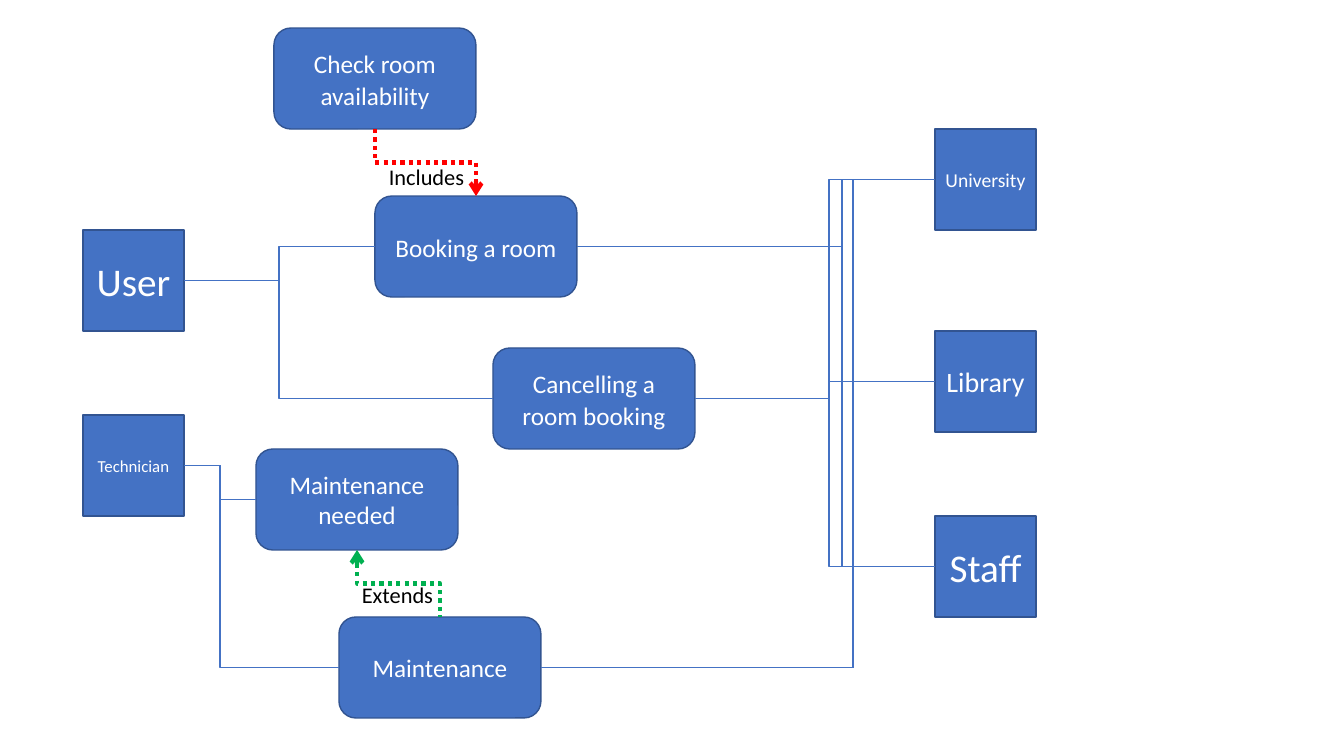
"""Build a use case diagram for booking and maintaining rooms."""
from pptx import Presentation
from pptx.dml.color import RGBColor
from pptx.enum.dml import MSO_LINE
from pptx.enum.shapes import MSO_CONNECTOR, MSO_SHAPE
from pptx.enum.text import MSO_ANCHOR, PP_ALIGN
from pptx.oxml.ns import qn
from pptx.util import Pt
from lxml.etree import SubElement

PX = 914400 / 100.8
SIDE, CASE_WIDTH = 101, 202
TOP, LEFT, BOTTOM, RIGHT = range(4)
BLUE, OUTLINE, WHITE, BLACK = "4472C4", "325491", "FFFFFF", "000000"


def write(holder, words, size, color, spacing):
    frame = holder.text_frame
    frame.word_wrap, frame.vertical_anchor = True, MSO_ANCHOR.MIDDLE
    paragraph = frame.paragraphs[0]
    paragraph.text = words
    for name, value in {"alignment": PP_ALIGN.CENTER, **spacing}.items():
        setattr(paragraph, name, value)
    font = paragraph.runs[0].font
    font.color.rgb = RGBColor.from_string(color)
    for name, value in {"name": "Calibri", "size": Pt(size)}.items():
        setattr(font, name, value)


def join(start, start_site, end, end_site, color, weight):
    link = slide.shapes.add_connector(MSO_CONNECTOR.ELBOW, 0, 0, 0, 0)
    link.begin_connect(nodes[start], start_site)
    link.end_connect(nodes[end], end_site)
    link.line.color.rgb = RGBColor.from_string(color)
    link.line.width = Pt(weight)
    SubElement(link._element.spPr, qn("a:effectLst"))
    return link


deck = Presentation()
deck.slide_width, deck.slide_height = round(1344 * PX), round(756 * PX)
slide = deck.slides.add_slide(deck.slide_layouts[6])

loose = {"line_spacing": 1.07, "space_after": Pt(8)}
actors = [
    ("User", 83, 230, 28),
    ("Technician", 83, 415, 12),
    ("University", 935, 129, 14),
    ("Library", 935, 331, 20),
    ("Staff", 935, 516, 28),
]
use_cases = [
    ("Check room availability", 274, 28, loose),
    ("Booking a room", 375, 196, loose),
    ("Cancelling a room booking", 493, 348, loose),
    ("Maintenance needed", 256, 449, {}),
    ("Maintenance", 339, 617, {}),
]
boxes = [(MSO_SHAPE.RECTANGLE, *actor, SIDE, {}) for actor in actors]
boxes += [(MSO_SHAPE.ROUNDED_RECTANGLE, name, x, y, 18, CASE_WIDTH, spacing)
          for name, x, y, spacing in use_cases]

nodes = {}
for outline, name, x, y, size, width, spacing in boxes:
    node = slide.shapes.add_shape(
        outline, *(round(v * PX) for v in (x, y, width, SIDE)))
    node.shadow.inherit = False
    node.fill.solid()
    node.fill.fore_color.rgb = RGBColor.from_string(BLUE)
    node.line.color.rgb = RGBColor.from_string(OUTLINE)
    node.line.width = Pt(1)
    write(node, name, size, WHITE, spacing)
    nodes[name] = node

services = ["University", "Library", "Staff"]
associations = [
    ("User", 279, ["Booking a room", "Cancelling a room booking"]),
    ("Technician", 220, ["Maintenance needed", "Maintenance"]),
    ("Booking a room", 842, services),
    ("Cancelling a room booking", 829, services),
    ("Maintenance", 853, services),
]
for start, bend, ends in associations:
    for end in ends:
        link = join(start, RIGHT, end, LEFT, BLUE, 1)
        ratio = (bend * PX - link.begin_x) / (link.end_x - link.begin_x)
        guides = link._element.spPr.find(qn("a:prstGeom")).get_or_add_avLst()
        SubElement(guides, qn("a:gd"), name="adj1",
                   fmla=f"val {round(ratio * 100000)}")

dependencies = [
    ("Check room availability", "Booking a room", "FF0000", "a:tailEnd",
     "Includes", 376, 126),
    ("Maintenance needed", "Maintenance", "00B050", "a:headEnd",
     "Extends", 347, 544),
]
for upper, lower, color, arrow_end, label, x, y in dependencies:
    link = join(upper, BOTTOM, lower, TOP, color, 3)
    link.line.dash_style = MSO_LINE.ROUND_DOT
    SubElement(link.line._get_or_add_ln(), qn(arrow_end), type="arrow")
    across, down = link.width, link.height
    turned = {"left": link.left + (across - down) // 2,
              "top": link.top + (down - across) // 2,
              "width": down, "height": across}
    for name, value in turned.items():
        setattr(link, name, value)
    frame = link._element.spPr.find(qn("a:xfrm"))
    frame.set("rot", "16200000")
    frame.set("flipH", "1")
    caption = slide.shapes.add_textbox(
        *(round(v * PX) for v in (x, y, SIDE, SIDE)))
    write(caption, label, 16, BLACK, {})

deck.save("out.pptx")
